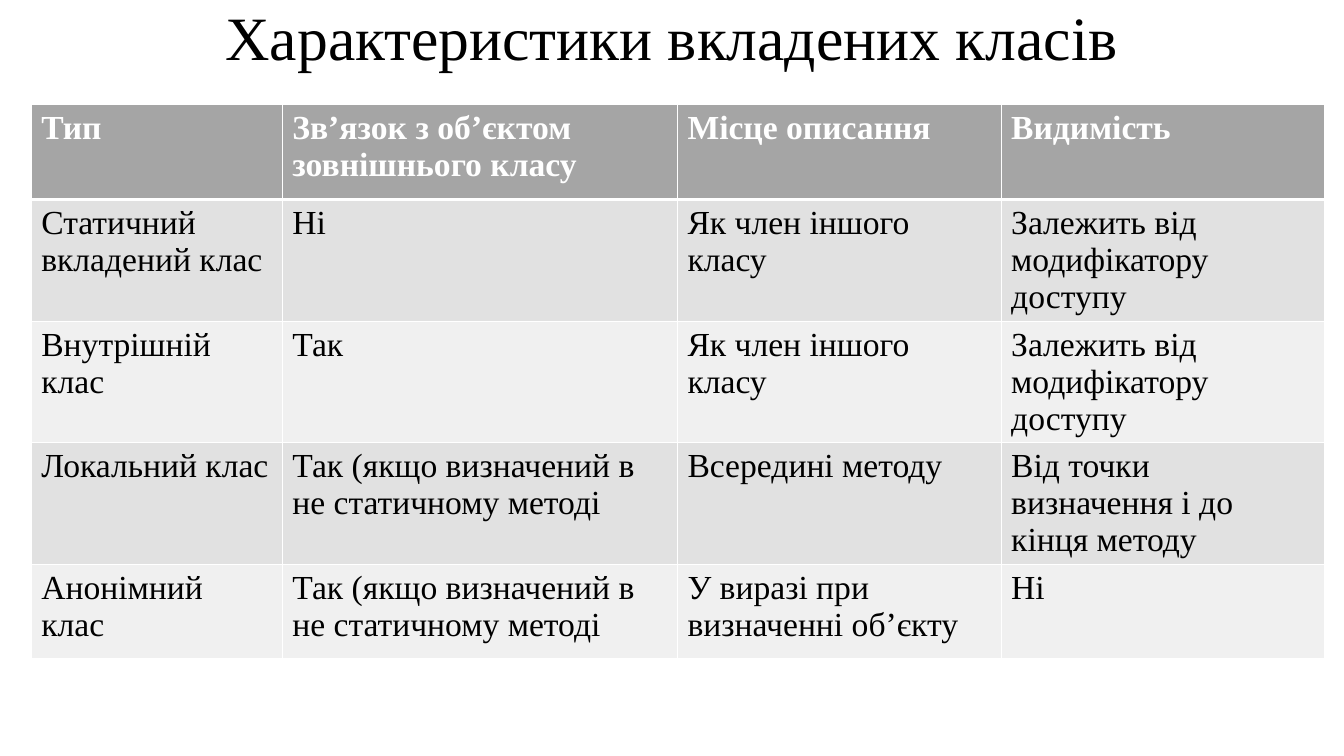
from lxml import etree
from pptx import Presentation, util as u
from pptx.dml.color import RGBColor
from pptx.enum import text
from pptx.oxml.ns import qn


def paint(item, tone):
    item.solid()
    item.fore_color.rgb = RGBColor.from_string(tone)


def write(frame, words, font="Times New Roman", size=24, tone="000000",
          bold=False, align=text.PP_ALIGN.LEFT, space=1.0):
    frame.word_wrap = True
    para = frame.paragraphs[0]
    para.alignment = align
    para.line_spacing = space
    run = para.add_run()
    run.text = words
    run.font.name = font
    run.font.size = u.Pt(size)
    run.font.bold = bold
    paint(run.font.fill, tone)


def edge(cell, side, width, tone):
    props = cell._tc.get_or_add_tcPr()
    line = etree.SubElement(props, qn("a:ln" + side), w=str(u.Pt(width)))
    fill = etree.SubElement(line, qn("a:solidFill"))
    etree.SubElement(fill, qn("a:srgbClr"), val=tone)


class Deck:
    head = "A5A5A5"
    bands = ("E1E1E1", "F0F0F0")
    white = "FFFFFF"

    def __init__(self):
        self.show = Presentation()
        self.show.slide_width = u.Inches(13.33)
        self.show.slide_height = u.Inches(7.5)
        self.slide = self.show.slides.add_slide(self.show.slide_layouts[5])
        paint(self.slide.background.fill, self.white)

    def title(self, words, box):
        shape = self.slide.shapes.title
        shape.left, shape.top, shape.width, shape.height = map(u.Inches, box)
        frame = shape.text_frame
        frame.vertical_anchor = text.MSO_ANCHOR.MIDDLE
        frame.auto_size = text.MSO_AUTO_SIZE.NONE
        write(frame, words, size=44, align=text.PP_ALIGN.CENTER, space=0.9)

    def table(self, rows, box, wides, highs):
        shape = self.slide.shapes.add_table(
            len(rows), len(wides), *map(u.Inches, box))
        grid = shape.table
        for col, wide in zip(grid.columns, wides):
            col.width = u.Inches(wide)
        for row, high in zip(grid.rows, highs):
            row.height = u.Inches(high)
        for r, row in enumerate(rows):
            for c, words in enumerate(row):
                self.cell(grid.cell(r, c), words, r)
        shape.height = u.Inches(box[3])

    def cell(self, cell, words, row):
        top = row == 0
        for side in "LRTB":
            thick = (top and side == "B") or (row == 1 and side == "T")
            edge(cell, side, 3 if thick else 1, self.white)
        cell.fill.solid()
        paint(cell.fill, self.head if top else self.bands[(row - 1) % 2])
        write(cell.text_frame, words, bold=top,
              tone=self.white if top else "000000")


member = "Як член іншого класу"
access = "Залежить від модифікатору доступу"
linked = "Так (якщо визначений в не статичному методі"
rows = [
    ("Тип", "Зв’язок з об’єктом зовнішнього класу", "Місце описання", "Видимість"),
    ("Статичний вкладений клас", "Ні", member, access),
    ("Внутрішній клас", "Так", member, access),
    ("Локальний клас", linked, "Всередині методу",
     "Від точки визначення і до кінця методу"),
    ("Анонімний клас", linked, "У виразі при визначенні об’єкту", "Ні"),
]

deck = Deck()
deck.title("Характеристики вкладених класів", (0, 0, 13.33, 0.8))
deck.table(rows, (0.31, 1.04, 12.82, 5.78),
           (2.49, 3.92, 3.21, 3.21), (0.94, 1.07, 1.07, 1.07, 0.94))
deck.show.save("out.pptx")
